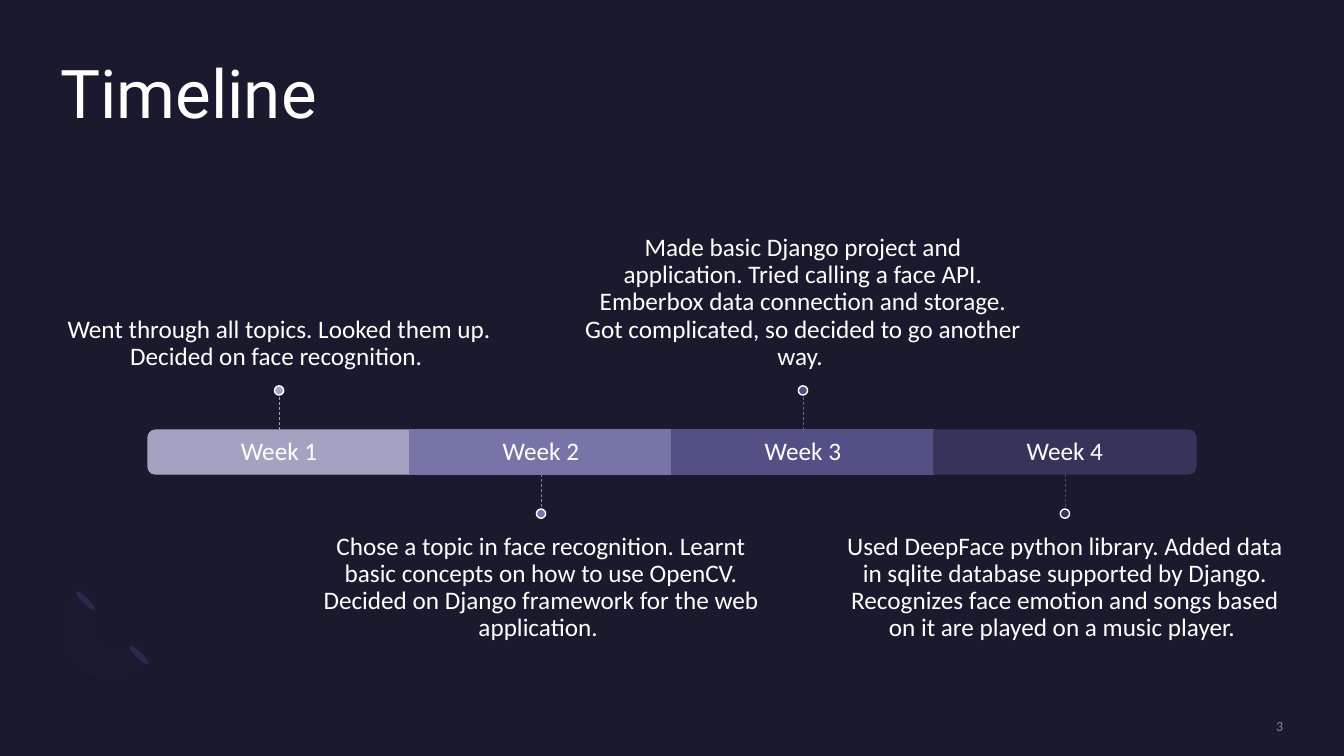
"""Builds a four-week project timeline slide."""
from lxml import etree
from pptx import Presentation
from pptx.dml.color import RGBColor
from pptx.enum.dml import MSO_LINE
from pptx.enum.shapes import MSO_CONNECTOR, MSO_SHAPE
from pptx.enum.text import MSO_ANCHOR, PP_ALIGN
from pptx.oxml.ns import qn
from pptx.util import Pt

DASH = MSO_LINE.DASH
STRAIGHT = MSO_CONNECTOR.STRAIGHT
OVAL, RECT, ROUND_END = MSO_SHAPE.OVAL, MSO_SHAPE.RECTANGLE, MSO_SHAPE.ROUND_2_SAME_RECTANGLE
TOP, MIDDLE, BOTTOM = MSO_ANCHOR.TOP, MSO_ANCHOR.MIDDLE, MSO_ANCHOR.BOTTOM
LEFT, CENTER, RIGHT = PP_ALIGN.LEFT, PP_ALIGN.CENTER, PP_ALIGN.RIGHT

COLORS = {"background": "1B192E", "white": "FFFFFF", "petal": "2C284A", "arc": "7771B2", "number": "A6A6A6"}
WEEKS = [
    ("Week 1", "A3A3C1", "A3A3C1", "Went through all topics. Looked them up. Decided on face recognition. "),
    ("Week 2", "7775A8", "8281AE", "Chose a topic in face recognition. Learnt basic concepts on how to use "
     "OpenCV. Decided on Django framework for the web application. "),
    ("Week 3", "535086", "625F9A", "Made basic Django project and application. Tried calling a face API. "
     "Emberbox data connection and storage. Got complicated, so decided to go another way. "),
    ("Week 4", "37335B", "4C487B", "Used DeepFace python library. Added data in sqlite database supported by "
     "Django. Recognizes face emotion and songs based on it are played on a music player. "),
]
BAR_LEFT, BAR_TOP, BAR_WIDTH, BAR_HEIGHT = 105.8, 307.2, 187.1, 31.4
STEM, DOT = 25, 6.6
NOTE_WIDTH, NOTE_HEIGHT = 311.8, 109.4

prs = Presentation()
prs.slide_width, prs.slide_height = Pt(960), Pt(540)
slide = prs.slides.add_slide(prs.slide_layouts[6])
slide.background.fill.solid()
slide.background.fill.fore_color.rgb = RGBColor.from_string(COLORS["background"])
shapes = slide.shapes


def add_text(text, box, size, align=CENTER, anchor=MIDDLE, insets=(0, 0), font="Calibri", color="white", spacing=0.9):
    frame = shapes.add_textbox(*map(Pt, box)).text_frame
    frame.word_wrap = True
    frame.vertical_anchor = anchor
    frame.margin_left = frame.margin_right = 0
    frame.margin_top, frame.margin_bottom = map(Pt, insets)
    frame.text = text
    paragraph = frame.paragraphs[0]
    paragraph.alignment = align
    paragraph.line_spacing = spacing
    run = paragraph.runs[0]
    run.font.name, run.font.size = font, Pt(size)
    run.font.color.rgb = RGBColor.from_string(COLORS[color])
    return run


def paint(shape, fill, line=None, opacity=None):
    shape.shadow.inherit = False
    shape.fill.solid()
    shape.fill.fore_color.rgb = RGBColor.from_string(fill)
    if line:
        shape.line.color.rgb = RGBColor.from_string(line)
        shape.line.width = Pt(1)
    else:
        shape.line.fill.background()
    if opacity:
        color = next(shape._element.iter(qn("a:srgbClr")))
        etree.SubElement(color, qn("a:alpha"), val=str(opacity * 1000))


for left, top in [(97.2, 458.6), (59, 419.8)]:
    petal = shapes.add_shape(OVAL, Pt(left), Pt(top), Pt(4.3), Pt(18.7))
    petal.rotation = 135
    paint(petal, COLORS["petal"])

arc_curves = [
    [(54.7, 474.5), (40.3, 460.1), (41.8, 435.6), (58.3, 419)],
    [(71.3, 432), (62.6, 439.9), (61.9, 452.9), (69.1, 459.4)],
    [(69.1, 459.4), (76.3, 466.6), (88.6, 465.8), (97.2, 457.9)],
    [(109.4, 470.9), (93.6, 486.7), (68.4, 488.9), (54.7, 474.5)],
]
arc_points = []
for curve in arc_curves:
    for step in range(13):
        t = step / 12
        weights = ((1 - t) ** 3, 3 * t * (1 - t) ** 2, 3 * t ** 2 * (1 - t), t ** 3)
        arc_points.append(tuple(sum(w * point[axis] for w, point in zip(weights, curve)) for axis in (0, 1)))
arc_outline = shapes.build_freeform(*arc_points[0], scale=Pt(1))
arc_outline.add_line_segments(arc_points[1:], close=True)
paint(arc_outline.convert_to_shape(), COLORS["arc"], opacity=2)

add_text("Timeline", (43.2, 43.2, 873.4, 105.1), 48, LEFT, TOP, font="Roboto")

for index, (week, fill, stem_color, note) in enumerate(WEEKS):
    left = BAR_LEFT + index * BAR_WIDTH
    center = left + BAR_WIDTH / 2
    above = index % 2 == 0
    is_end = index in (0, len(WEEKS) - 1)

    if is_end:
        middle = BAR_TOP + BAR_HEIGHT / 2
        bar = shapes.add_shape(ROUND_END, Pt(center - BAR_HEIGHT / 2), Pt(middle - BAR_WIDTH / 2),
                               Pt(BAR_HEIGHT), Pt(BAR_WIDTH))
        bar.rotation = 270 if index == 0 else 90
    else:
        bar = shapes.add_shape(RECT, Pt(left), Pt(BAR_TOP), Pt(BAR_WIDTH), Pt(BAR_HEIGHT))
    paint(bar, fill, fill)
    add_text(week, (left, BAR_TOP, BAR_WIDTH, BAR_HEIGHT), 18)

    if above:
        stem_start, stem_end = BAR_TOP, BAR_TOP - STEM
        dot_top, note_top = stem_end - DOT, 166.3
    else:
        stem_start, stem_end = BAR_TOP + BAR_HEIGHT, BAR_TOP + BAR_HEIGHT + STEM
        dot_top, note_top = stem_end, 370.1
    add_text(note, (center - NOTE_WIDTH / 2, note_top, NOTE_WIDTH, NOTE_HEIGHT), 18,
             anchor=BOTTOM if above else TOP, insets=(0, 10.8) if above else (10.8, 0))

    stem = shapes.add_connector(STRAIGHT, Pt(center), Pt(stem_start), Pt(center), Pt(stem_end))
    if not is_end:
        stem.begin_connect(bar, 0 if above else 2)
    stem.line.color.rgb = RGBColor.from_string(stem_color)
    stem.line.width = Pt(0.5)
    stem.line.dash_style = DASH
    etree.SubElement(stem._element.spPr, qn("a:effectLst"))

    dot = shapes.add_shape(OVAL, Pt(center - DOT / 2), Pt(dot_top), Pt(DOT), Pt(DOT))
    paint(dot, fill, COLORS["white"])

page_number = add_text("3", (783.4, 512.6, 133.2, 12.2), 10, RIGHT, color="number", spacing=1)
number_color = next(page_number._r.iter(qn("a:srgbClr")))
etree.SubElement(number_color, qn("a:alpha"), val="80000")

prs.save("out.pptx")
